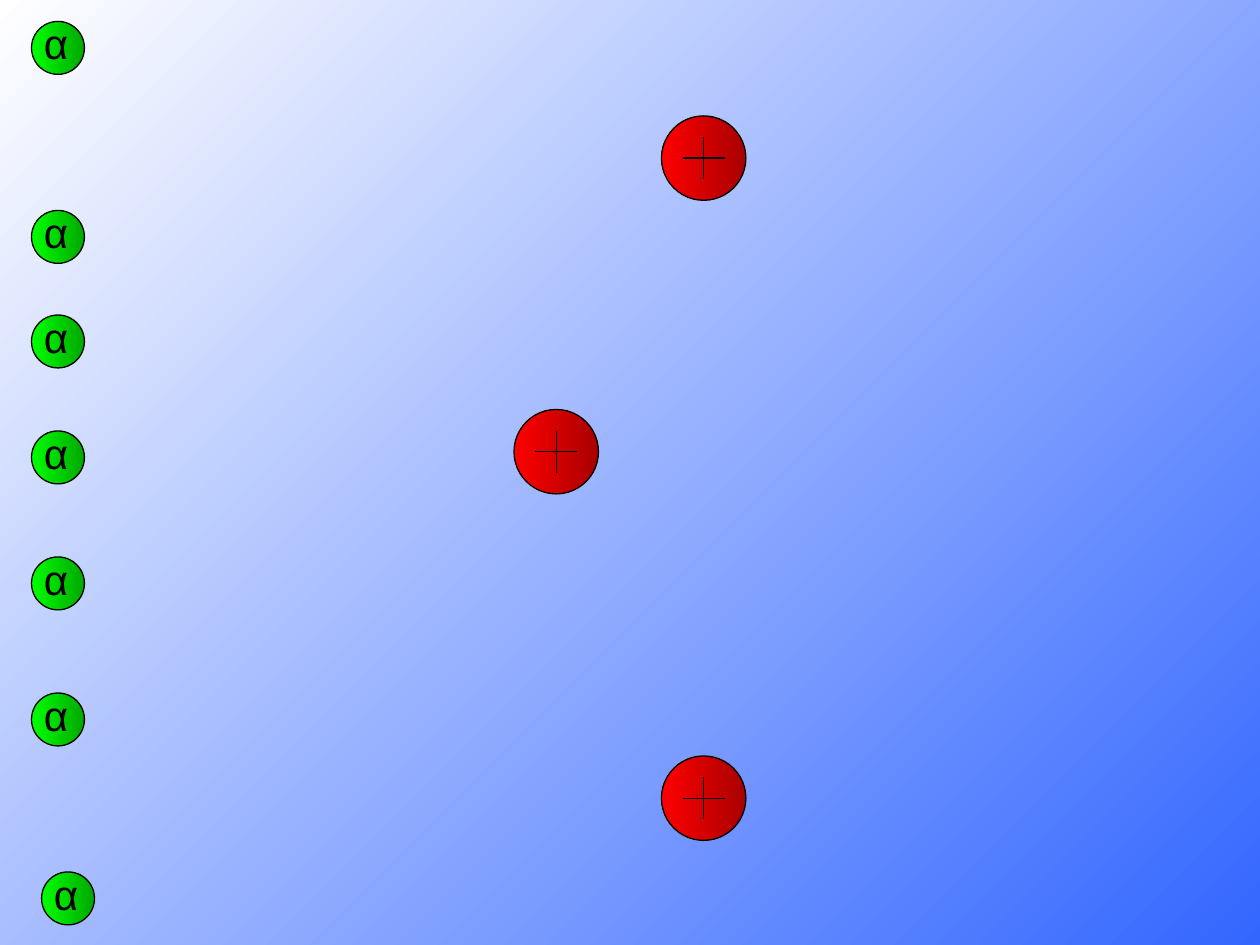
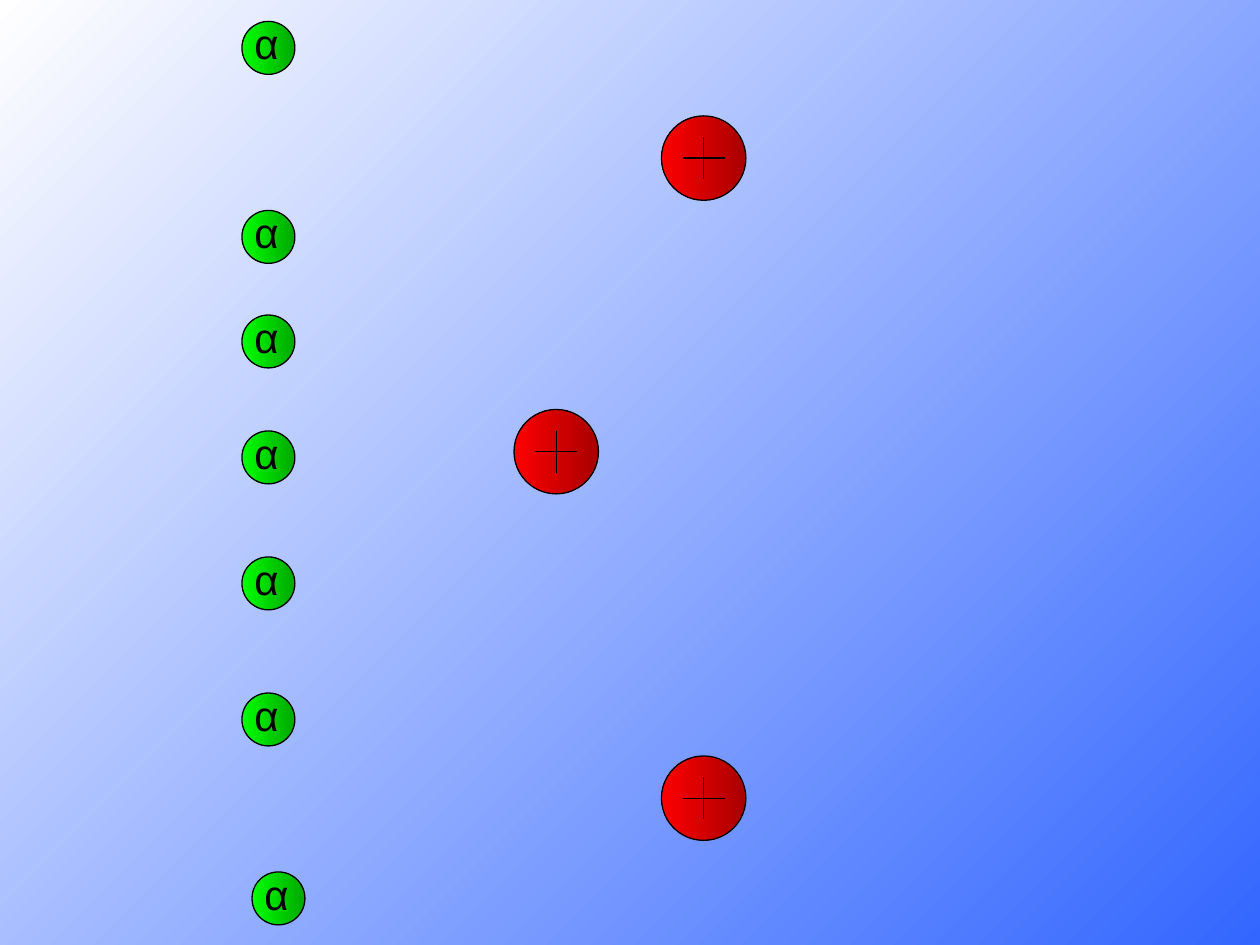
from lxml.etree import SubElement
from pptx import Presentation
from pptx.dml.color import RGBColor as Rgb
from pptx.enum.shapes import MSO_CONNECTOR as Link, MSO_SHAPE as Kind
from pptx.enum.text import MSO_AUTO_SIZE as Fit
from pptx.oxml.ns import qn
from pptx.util import Inches, Pt

HUES = {
    "ink": "000000",
    "sky": "3366FF",
    "white": "FFFFFF",
    "maroon": "A80000",
    "red": "FF0000",
    "moss": "00A800",
    "green": "00FF00",
}
CORES = [(5.25, 0.92), (4.08, 3.25), (5.25, 6)]
CORE = 0.67
ALPHA = 0.42
RAYS = [(0, 5.5), (0, 3.42), (0, 1.67), (0.08, 6.92), (0, 0.17), (0, 4.42), (0, 2.5)]
STARTS = [0.25, 1.92]


def hue(name):
    return Rgb.from_string(HUES[name])


def shade(fill, first, last, angle):
    fill.gradient()
    fill.gradient_angle = angle
    for stop, name, place in zip(fill.gradient_stops, (first, last), (0, 1)):
        stop.color.rgb = hue(name)
        stop.position = place


def ink(line):
    line.color.rgb = hue("ink")
    line.width = Pt(0.75)


def ball(group, x, y, size, dark, light):
    disc = group.shapes.add_shape(
        Kind.OVAL, Inches(x), Inches(y), Inches(size), Inches(size))
    disc.shadow.inherit = False
    shade(disc.fill, dark, light, 180)
    ink(disc.line)


def stroke(group, x1, y1, x2, y2):
    line = group.shapes.add_connector(
        Link.STRAIGHT, Inches(x1), Inches(y1), Inches(x2), Inches(y2))
    ink(line.line)
    SubElement(line._element.spPr, qn("a:effectLst"))


def core(slide, x, y):
    group = slide.shapes.add_group_shape()
    ball(group, x, y, CORE, "maroon", "red")
    mid, arm = CORE / 2, CORE / 4
    cx, cy = x + mid, y + mid
    stroke(group, cx, cy - arm, cx, cy + arm)
    stroke(group, cx - arm, cy, cx + arm, cy)


def alpha(group, x, y):
    ball(group, x, y, ALPHA, "moss", "green")
    box = group.shapes.add_textbox(
        Inches(x), Inches(y - 0.08), Inches(0.41), Inches(0.5))
    frame = box.text_frame
    frame.word_wrap = False
    frame.auto_size = Fit.SHAPE_TO_FIT_TEXT
    run = frame.paragraphs[0].add_run()
    run.text = "α"
    run.font.name = "Arial"
    run.font.size = Pt(24)
    run.font.color.rgb = hue("ink")


def beam(slide, left):
    group = slide.shapes.add_group_shape()
    for shift, y in RAYS:
        alpha(group, left + shift, y)


def scene(deck, left):
    slide = deck.slides.add_slide(deck.slide_layouts[6])
    for x, y in CORES:
        core(slide, x, y)
    beam(slide, left)


def main():
    deck = Presentation()
    deck.slide_width, deck.slide_height = Inches(10), Inches(7.5)
    shade(deck.slide_master.background.fill, "sky", "white", 135)
    for left in STARTS:
        scene(deck, left)
    deck.save("out.pptx")


if __name__ == "__main__":
    main()
